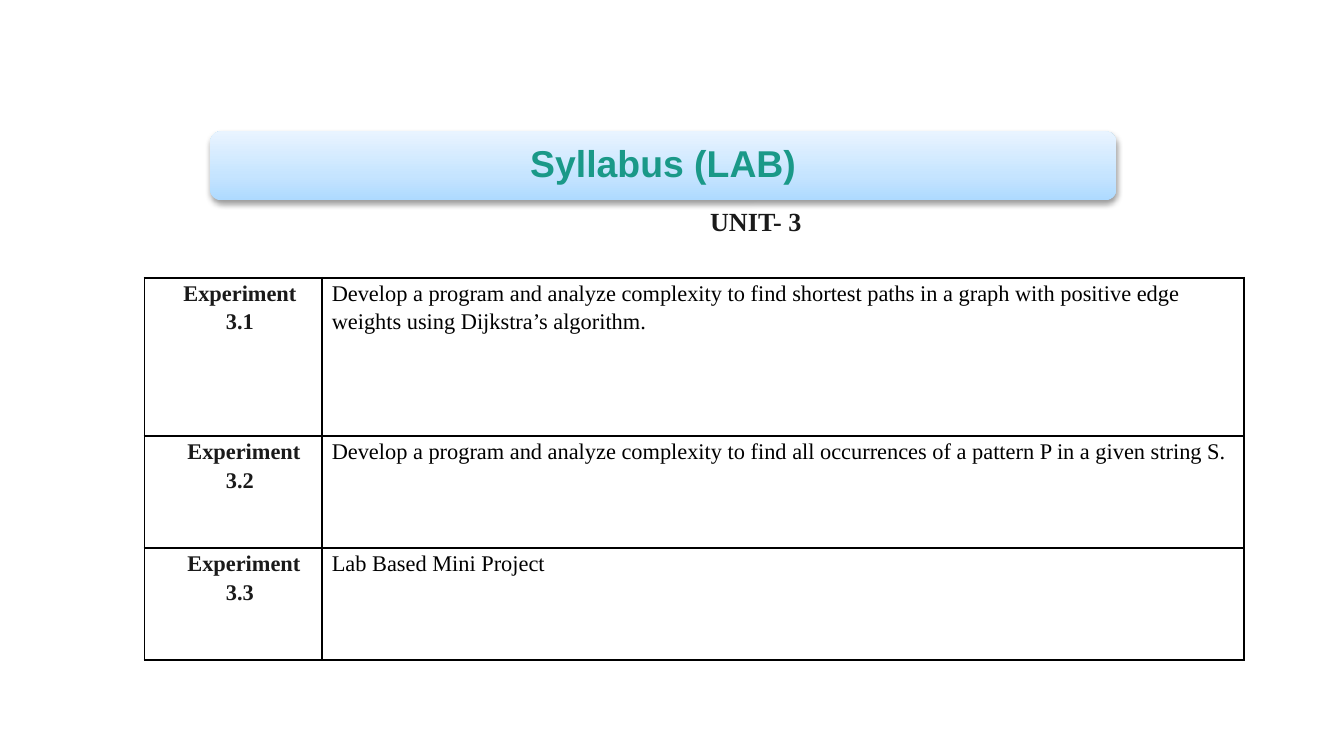
from lxml.etree import SubElement
from pptx import Presentation
from pptx.dml.color import RGBColor
from pptx.enum.shapes import MSO_SHAPE
from pptx.enum.text import MSO_ANCHOR, PP_ALIGN
from pptx.oxml.ns import qn
from pptx.util import Cm, Pt

TEAL = RGBColor(0x1A, 0x99, 0x88)
INK = RGBColor(0x1A, 0x1A, 0x1A)
BLACK = RGBColor(0, 0, 0)
BANNER_STOPS = [
    (0, RGBColor(0xAE, 0xDA, 0xFF)),
    (35, RGBColor(0xC5, 0xE4, 0xFF)),
    (100, RGBColor(0xE9, 0xF4, 0xFF)),
]
SERIF = "Times New Roman"

EXPERIMENTS = [
    ("Experiment 3.1", "Develop a program and analyze complexity to find shortest paths "
     "in a graph with positive edge weights using Dijkstra’s algorithm."),
    ("Experiment 3.2", "Develop a program and analyze complexity to find all occurrences "
     "of a pattern P in a given string S."),
    ("Experiment 3.3", "Lab Based Mini Project"),
]
COLUMN_WIDTHS = [Cm(3.36), Cm(17.42)]
ROW_HEIGHTS = [Cm(2.99), Cm(2.12), Cm(2.12)]
FIRST_LINE_INDENTS = [0, Cm(0.15), Cm(0.15)]


def add_color(parent, color, alpha=100):
    srgb = SubElement(parent, qn("a:srgbClr"), val=str(color))
    if alpha < 100:
        SubElement(srgb, qn("a:alpha"), val=str(alpha * 1000))


def write(paragraph, text, size, color, bold=False, font=SERIF, align=PP_ALIGN.LEFT,
          margin=0, indent=0, spacing=1.15, after=Pt(10)):
    paragraph.alignment = align
    paragraph.line_spacing = spacing
    paragraph.space_after = after
    properties = paragraph._p.get_or_add_pPr()
    properties.set("marL", str(margin))
    properties.set("indent", str(indent))
    run = paragraph.add_run()
    run.text = text
    run.font.name = font
    run.font.size = Pt(size)
    run.font.bold = bold
    run.font.color.rgb = color


def set_insets(frame, horizontal, vertical):
    frame.margin_left = frame.margin_right = horizontal
    frame.margin_top = frame.margin_bottom = vertical


def add_banner(slide, left, top, width, height):
    """Place the title on a rounded, softly shadowed gradient bar."""
    bar = slide.shapes.add_shape(MSO_SHAPE.ROUNDED_RECTANGLE, left, top, width, height)
    bar.line.fill.background()
    bar.fill.gradient()
    bar.fill.gradient_angle = 90
    stops = bar._element.spPr.find(qn("a:gradFill")).find(qn("a:gsLst"))
    stops.clear()
    for position, color in BANNER_STOPS:
        add_color(SubElement(stops, qn("a:gs"), pos=str(position * 1000)), color)
    bar.shadow.inherit = False
    effects = bar._element.spPr.find(qn("a:effectLst"))
    shadow = SubElement(effects, qn("a:outerShdw"), blurRad=str(Pt(3.1)),
                        dist=str(Pt(1.6)), dir="5400000", rotWithShape="0")
    add_color(shadow, BLACK, 38)

    title = slide.shapes.title
    title._element.addprevious(bar._element)
    inset = Cm(0.06)
    title.left, title.top = left + inset, top + inset
    title.width, title.height = width - 2 * inset, height - 2 * inset
    frame = title.text_frame
    frame.vertical_anchor = MSO_ANCHOR.MIDDLE
    set_insets(frame, Cm(0.2), Cm(0.2))
    write(frame.paragraphs[0], "Syllabus (LAB)", 20, TEAL, bold=True, font="Arial",
          align=PP_ALIGN.CENTER, spacing=0.9, after=Pt(7))


def add_unit_heading(slide, left, top, width, height):
    frame = slide.shapes.add_textbox(left, top, width, height).text_frame
    frame.word_wrap = True
    set_insets(frame, Cm(0.25), Cm(0.13))
    write(frame.paragraphs[0], "UNIT- 3", 14, INK, bold=True,
          align=PP_ALIGN.CENTER, margin=Cm(1.27))


def format_cell(cell):
    set_insets(cell, Cm(0.18), 0)
    properties = cell._tc.get_or_add_tcPr()
    for side in ("lnL", "lnR", "lnT", "lnB"):
        border = SubElement(properties, qn(f"a:{side}"), w=str(Pt(1)))
        add_color(SubElement(border, qn("a:solidFill")), BLACK)
    cell.fill.background()


def add_experiment_table(slide, left, top, width, height):
    table = slide.shapes.add_table(len(EXPERIMENTS), len(COLUMN_WIDTHS),
                                   left, top, width, height).table
    table.first_row = table.horz_banding = False
    for column, column_width in zip(table.columns, COLUMN_WIDTHS):
        column.width = column_width
    for row, row_height, indent, (name, task) in zip(
            table.rows, ROW_HEIGHTS, FIRST_LINE_INDENTS, EXPERIMENTS):
        row.height = row_height
        name_cell, task_cell = row.cells
        format_cell(name_cell)
        format_cell(task_cell)
        write(name_cell.text_frame.paragraphs[0], name, 12, INK, bold=True,
              align=PP_ALIGN.CENTER, margin=Cm(0.25), indent=indent)
        write(task_cell.text_frame.paragraphs[0], task, 12, BLACK)


def main():
    deck = Presentation()
    deck.slide_width, deck.slide_height = Cm(25.4), Cm(14.29)
    slide = deck.slides.add_slide(deck.slide_layouts.get_by_name("Title Only"))
    add_banner(slide, Cm(3.97), Cm(2.48), Cm(17.13), Cm(1.31))
    add_unit_heading(slide, Cm(2.54), Cm(3.66), Cm(22.22), Cm(1.2))
    add_experiment_table(slide, Cm(2.73), Cm(5.25), sum(COLUMN_WIDTHS), sum(ROW_HEIGHTS))
    deck.save("out.pptx")


if __name__ == "__main__":
    main()
